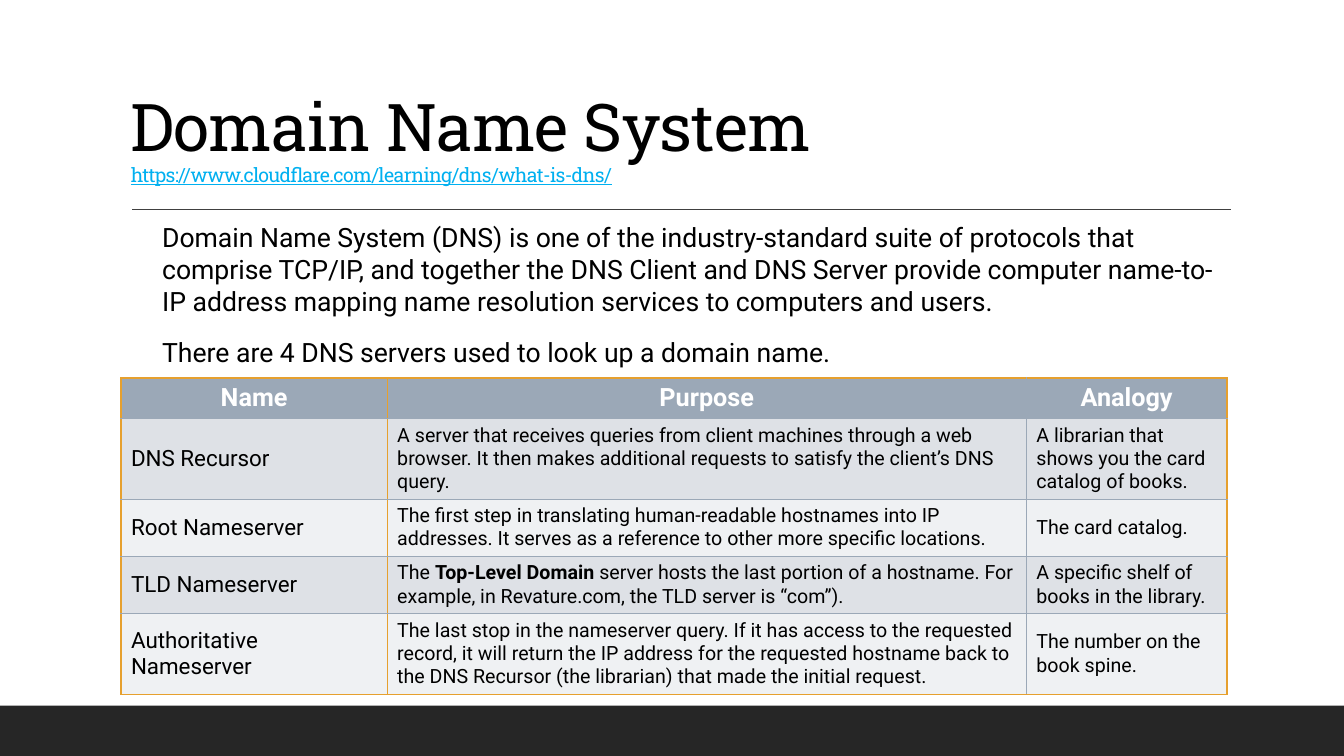
from lxml.etree import SubElement
from pptx import Presentation
from pptx.dml.color import RGBColor
from pptx.enum.shapes import MSO_CONNECTOR, MSO_SHAPE
from pptx.enum.text import MSO_ANCHOR, PP_ALIGN
from pptx.oxml.ns import qn
from pptx.util import Inches, Pt

BLACK = RGBColor(0x00, 0x00, 0x00)
WHITE = RGBColor(0xFF, 0xFF, 0xFF)
CHARCOAL = RGBColor(0x26, 0x26, 0x26)
RULE_GRAY = RGBColor(0x40, 0x40, 0x40)
LINK_BLUE = RGBColor(0x00, 0xB0, 0xF0)
SLATE = RGBColor(0x9B, 0xA8, 0xB7)
GOLD = RGBColor(0xE6, 0xA0, 0x2E)
BANDS = (RGBColor(0xDE, 0xE1, 0xE6), RGBColor(0xEF, 0xF1, 0xF3))

INTRO = (
    "Domain Name System (DNS) is one of the industry-standard suite of protocols that "
    "comprise TCP/IP, and together the DNS Client and DNS Server provide computer "
    "name-to-IP address mapping name resolution services to computers and users.",
    "There are 4 DNS servers used to look up a domain name.",
)
HEADINGS = ("Name", "Purpose", "Analogy")
SERVERS = (
    ("DNS Recursor",
     "A server that receives queries from client machines through a web browser. It then "
     "makes additional requests to satisfy the client’s DNS query.",
     "A librarian that shows you the card catalog of books."),
    ("Root Nameserver",
     "The first step in translating human-readable hostnames into IP addresses. It serves "
     "as a reference to other more specific locations.",
     "The card catalog."),
    ("TLD Nameserver",
     "The **Top-Level Domain **server hosts the last portion of a hostname. For example, in "
     "Revature.com, the TLD server is “com”).",
     "A specific shelf of books in the library."),
    ("Authoritative Nameserver",
     "The last stop in the nameserver query. If it has access to the requested record, it "
     "will return the IP address for the requested hostname back to the DNS Recursor (the "
     "librarian) that made the initial request.",
     "The number on the book spine."),
)
COLUMN_WIDTHS = (2.64, 6.34, 1.99)
ROW_HEIGHTS = (0.39, 0.79, 0.56, 0.56, 0.79)


def add_run(paragraph, text, size, color, font="Roboto", bold=False):
    """Append one styled run to a paragraph and return it."""
    run = paragraph.add_run()
    run.text = text
    run.font.name = font
    run.font.size = Pt(size)
    run.font.bold = bold
    run.font.color.rgb = color
    return run


def add_text_frame(slide, left, top, width, height, anchor):
    """Add a wrapping text box and return its text frame."""
    frame = slide.shapes.add_textbox(
        Inches(left), Inches(top), Inches(width), Inches(height)).text_frame
    frame.word_wrap = True
    frame.vertical_anchor = anchor
    return frame


def add_footer(slide, left, top, width, height):
    """Draw the dark band along the foot of the slide."""
    band = slide.shapes.add_shape(
        MSO_SHAPE.RECTANGLE, Inches(left), Inches(top), Inches(width), Inches(height))
    band.shadow.inherit = False
    band.fill.solid()
    band.fill.fore_color.rgb = CHARCOAL
    band.line.fill.background()


def add_title(slide, left, top, width, height):
    """Place the title and its source address above a thin rule."""
    rule_left, rule_top = left + 0.11, top + height + 0.18
    rule = slide.shapes.add_connector(
        MSO_CONNECTOR.STRAIGHT, Inches(rule_left), Inches(rule_top),
        Inches(rule_left + 10.9), Inches(rule_top))
    rule.line.color.rgb = RULE_GRAY
    rule.line.width = Pt(1)
    SubElement(rule._element.spPr, qn("a:effectLst"))

    heading = add_text_frame(slide, left, top, width, height, MSO_ANCHOR.BOTTOM).paragraphs[0]
    heading.line_spacing = 0.9
    name = add_run(heading, "Domain Name System", 47, BLACK, "Roboto Slab")
    heading.add_line_break()
    address = add_run(heading, "https://www.cloudflare.com/learning/dns/what-is-dns/",
                      14, LINK_BLUE, "Roboto Slab")
    address.font.underline = True
    for run in (name, address):
        run.font._element.set("spc", "-50")


def add_intro(slide, left, top, width, height):
    """Place the introductory paragraphs."""
    frame = add_text_frame(slide, left, top, width, height, MSO_ANCHOR.MIDDLE)
    frame.margin_left = Inches(0.1)
    frame.margin_right = 0
    for index, text in enumerate(INTRO):
        paragraph = frame.add_paragraph() if index else frame.paragraphs[0]
        paragraph.space_before = Pt(12 if index else 0)
        paragraph.space_after = Pt(2)
        add_run(paragraph, text, 19, BLACK)


def set_borders(cell, row, column):
    """Draw gold outer and first-column edges, and slate inner edges."""
    golden = {
        "a:lnL": column in (0, 1),
        "a:lnR": column in (0, len(COLUMN_WIDTHS) - 1),
        "a:lnT": row == 0,
        "a:lnB": row == len(ROW_HEIGHTS) - 1,
    }
    properties = cell._tc.get_or_add_tcPr()
    for edge, is_gold in golden.items():
        border = SubElement(properties, qn(edge), w=str(Pt(1 if is_gold else 0.5)))
        fill = SubElement(border, qn("a:solidFill"))
        SubElement(fill, qn("a:srgbClr"), val=str(GOLD if is_gold else SLATE))


def add_server_table(slide, left, top, width, height):
    """Build the table of DNS servers."""
    table = slide.shapes.add_table(
        len(ROW_HEIGHTS), len(COLUMN_WIDTHS),
        Inches(left), Inches(top), Inches(width), Inches(height)).table
    for column, column_width in zip(table.columns, COLUMN_WIDTHS):
        column.width = Inches(column_width)
    for row, row_height in zip(table.rows, ROW_HEIGHTS):
        row.height = Inches(row_height)
    for row, entries in enumerate((HEADINGS, *SERVERS)):
        is_header = row == 0
        for column, text in enumerate(entries):
            cell = table.cell(row, column)
            set_borders(cell, row, column)
            cell.fill.solid()
            cell.fill.fore_color.rgb = SLATE if is_header else BANDS[(row - 1) % 2]
            cell.vertical_anchor = MSO_ANCHOR.MIDDLE
            paragraph = cell.text_frame.paragraphs[0]
            paragraph.alignment = PP_ALIGN.CENTER if is_header else PP_ALIGN.LEFT
            size = 18 if is_header else 14 if column else 16
            for part, words in enumerate(text.split("**")):
                add_run(paragraph, words, size, WHITE if is_header else BLACK,
                        bold=is_header or part % 2 == 1)


def main():
    """Build and save the slide."""
    presentation = Presentation()
    presentation.slide_width = Inches(13.33)
    presentation.slide_height = Inches(7.5)
    slide = presentation.slides.add_slide(presentation.slide_layouts[6])
    add_footer(slide, 0, 7, 13.33, 0.5)
    add_title(slide, 1.2, 0.31, 11, 1.59)
    add_intro(slide, 1.51, 2.09, 10.69, 1.66)
    add_server_table(slide, 1.2, 3.75, sum(COLUMN_WIDTHS), sum(ROW_HEIGHTS))
    presentation.save("out.pptx")


if __name__ == "__main__":
    main()
